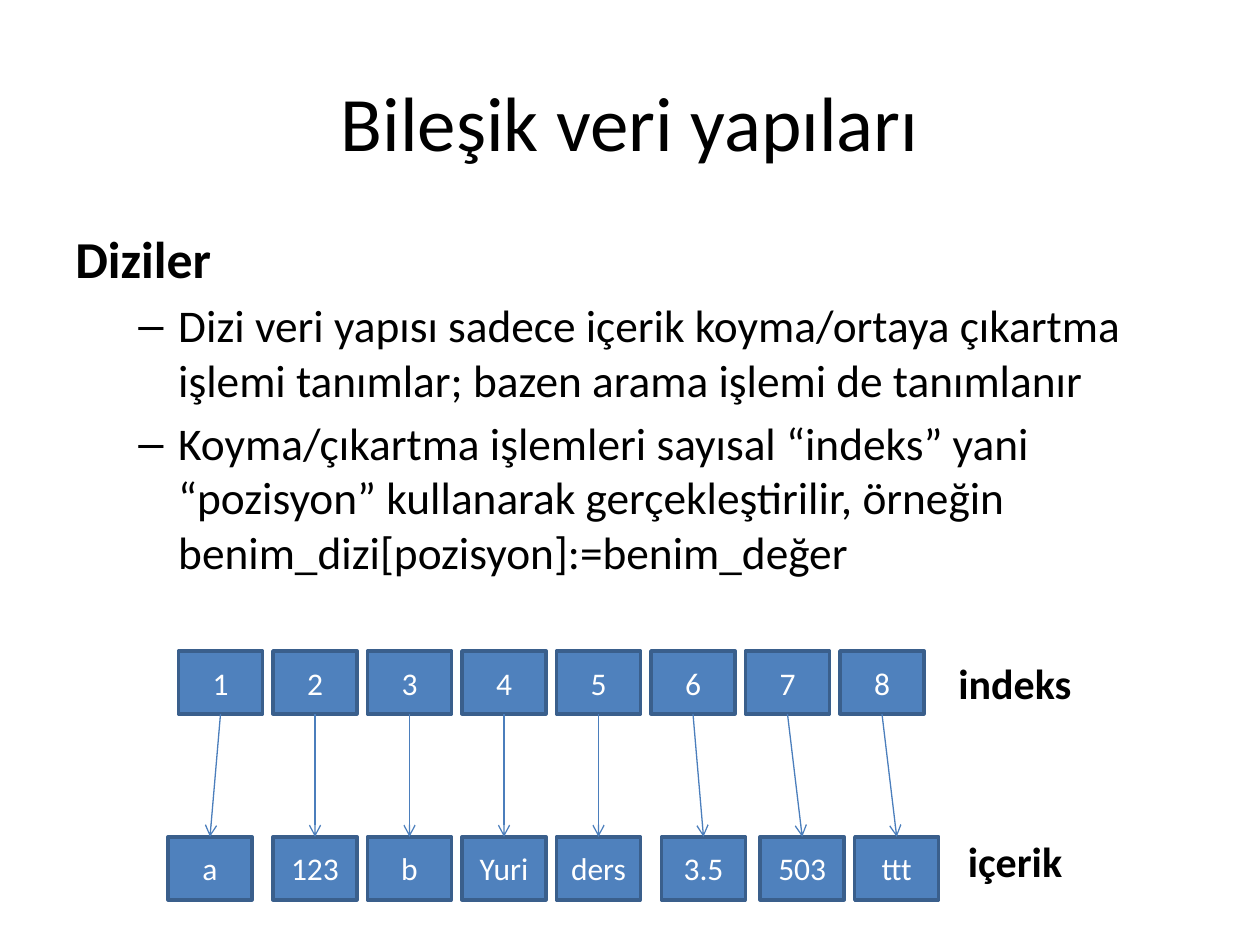
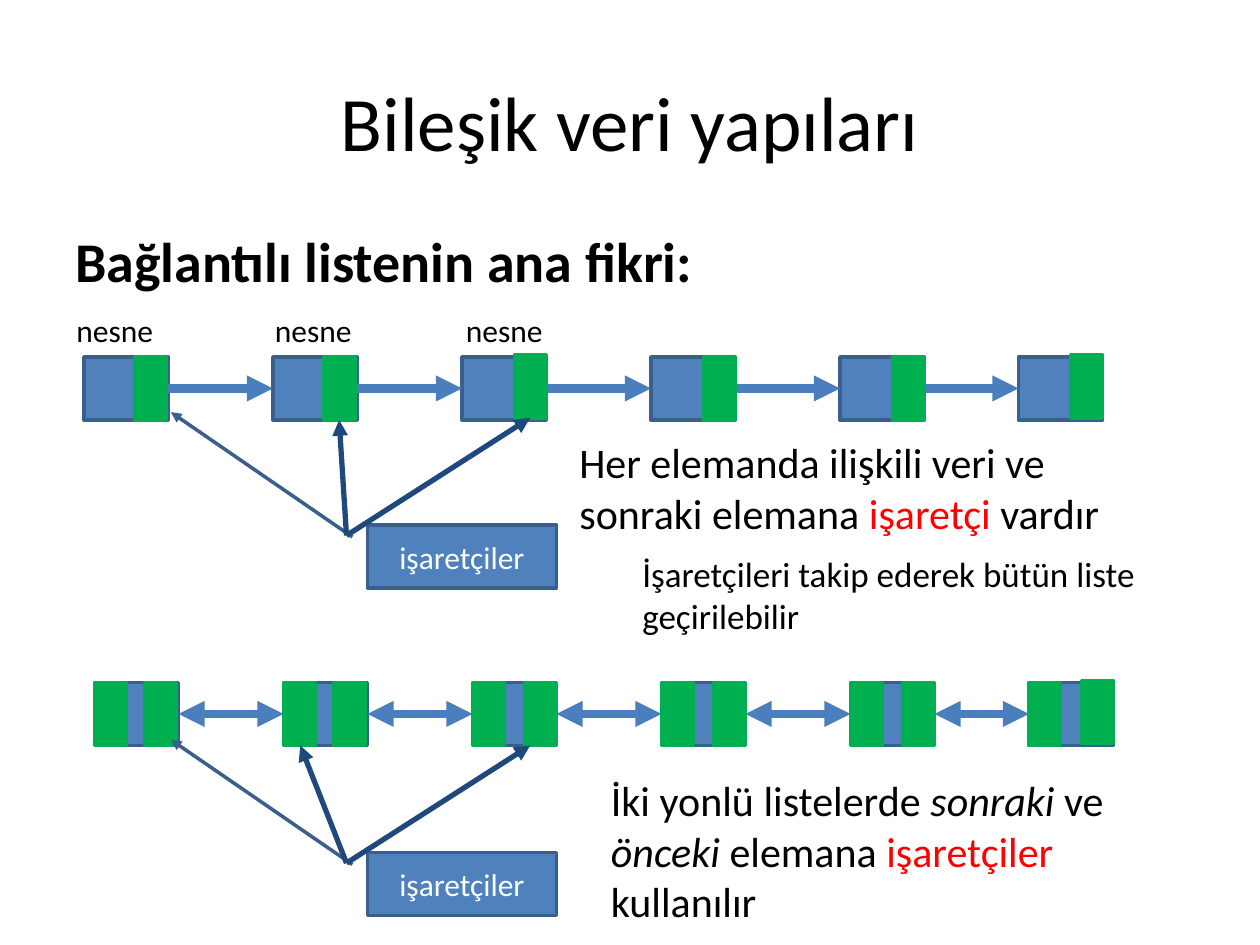
from pptx import Presentation
from pptx.dml.color import RGBColor
from pptx.enum.shapes import MSO_CONNECTOR as CONN, MSO_SHAPE as SHAPE
from pptx.enum.text import MSO_ANCHOR as ANCHOR, PP_ALIGN as ALIGN
from pptx.oxml.ns import qn
from pptx.util import Pt
from lxml.etree import SubElement

# Shared style: 120 px to the inch
PX = 7620
FONT = "Calibri"
BLACK, WHITE, RED = "000000", "FFFFFF", "FF0000"
BLUE, EDGE, ARROW = "4F81BD", "3A5F8C", "4B7EBC"
NAVY, GREEN = "1F497D", "00B050"
NODE_W, NODE_H, POINTER_W = 80, 60, 30
TITLE = "Bileşik veri yapıları"


def px(*lengths):
    return [round(n * PX) for n in lengths]


def rgb(color):
    return RGBColor.from_string(color)


def add_run(p, text, size, color=BLACK, bold=False, italic=False):
    r = p.add_run()
    r.text = text
    f = r.font
    f.name, f.size, f.bold, f.italic = FONT, Pt(size), bold, italic
    f.color.rgb = rgb(color)


def add_text(s, box, runs, size, wrap=True, bold=False):
    """Runs are (text, style) pairs; returns the text frame."""
    tf = s.shapes.add_textbox(*px(*box)).text_frame
    tf.word_wrap = wrap
    for text, style in runs:
        add_run(tf.paragraphs[0], text, size, bold=bold, **style)
    return tf


def add_bullet(tf, text, size):
    p = tf.add_paragraph()
    pPr = p._p.get_or_add_pPr()
    left, hang = px(98, 38)
    pPr.set("marL", str(left))
    pPr.set("indent", str(-hang))
    p.space_before = Pt(5)
    SubElement(pPr, qn("a:buFont")).set("typeface", "Arial")
    SubElement(pPr, qn("a:buChar")).set("char", "–")
    add_run(p, text, size)


def add_box(s, box, text="", fill=BLUE, line=EDGE, kind=SHAPE.RECTANGLE):
    sp = s.shapes.add_shape(kind, *px(*box))
    sp.shadow.inherit = False
    sp.fill.solid()
    sp.fill.fore_color.rgb = rgb(fill)
    sp.line.color.rgb = rgb(line)
    sp.line.width = Pt(2)
    if text:
        tf = sp.text_frame
        tf.vertical_anchor = ANCHOR.MIDDLE
        p = tf.paragraphs[0]
        p.alignment = ALIGN.CENTER
        add_run(p, text, 18, WHITE)
    return sp


def add_heads(shape, tail, head=None):
    ln = shape.line._get_or_add_ln()
    for tag, kind in (("a:headEnd", head), ("a:tailEnd", tail)):
        if kind:
            SubElement(ln, qn(tag)).set("type", kind)


def add_arrow(s, start, end, color, width, tail="triangle", head=None):
    cx = s.shapes.add_connector(CONN.STRAIGHT, *px(*start, *end))
    cx.line.color.rgb = rgb(color)
    cx.line.width = Pt(width)
    add_heads(cx, tail, head)
    SubElement(cx._element.spPr, qn("a:effectLst"))
    return cx


def join(s, a, a_side, b, b_side, width, **heads):
    cx = add_arrow(s, (0, 0), (0, 0), ARROW, width, **heads)
    cx.begin_connect(a, a_side)
    cx.end_connect(b, b_side)


def add_slide(prs):
    s = prs.slides.add_slide(prs.slide_layouts[6])
    tf = add_text(s, (60, 40, 1080, 150), [(TITLE, {})], 44)
    tf.vertical_anchor = ANCHOR.MIDDLE
    tf.paragraphs[0].alignment = ALIGN.CENTER
    return s


def array_diagram(s, left, top):
    """Index cells, each pointing to its content cell."""
    contents = [("a", -10), ("123", 90), ("b", 180), ("Yuri", 270),
                ("ders", 360), ("3.5", 460), ("503", 554), ("ttt", 644)]
    for i, (value, x) in enumerate(contents):
        index = add_box(s, (left + 90 * i, top, NODE_W, NODE_H), str(i + 1))
        cell = add_box(s, (left + x, top + 177, NODE_W, NODE_H), value)
        join(s, index, 2, cell, 0, 0.75, tail="arrow")
    for text, x, y, w in (("indeks", 731, 0, 133), ("içerik", 740, 170, 115)):
        add_text(s, (left + x, top + y, w, 60), [(text, {})], 24,
                 wrap=False, bold=True)


def linked_list(s, left, top, raised, double=False):
    """Six nodes with green pointer fields; raised ones sit 2 px higher."""
    xs = [left + 180 * i for i in range(5)] + [left + 890]
    nodes = [add_box(s, (x, top, NODE_W, NODE_H)) for x in xs]
    for a, b in zip(nodes, nodes[1:]):
        join(s, a, 3, b, 1, 5, tail="triangle",
             head="triangle" if double else None)
    for i, x in enumerate(xs):
        fields = [(x + (48 if i < 2 else 50), top - 2 * (i in raised))]
        if double:
            fields.append((x, top))
        for field in fields:
            add_box(s, (*field, POINTER_W, NODE_H), fill=GREEN, line=GREEN)


def pointer_callout(s, left, top, targets):
    """Callout whose three arrows fan out from one point beside it."""
    sp = add_box(s, (left, top, 180, 60), "işaretçiler",
                 kind=SHAPE.LINE_CALLOUT_1)
    for i, value in enumerate((0.19, -0.08, -1.79, -1.04)):
        sp.adjustments[i] = value
    add_heads(sp, "triangle")
    for x, y in targets:
        add_arrow(s, (left - 20, top + 10), (left + x, top + y), NAVY, 3)


def array_slide(prs):
    s = add_slide(prs)
    tf = add_text(s, (60, 210, 1090, 390), [("Diziler", {})], 29.6, bold=True)
    add_bullet(tf, "Dizi veri yapısı sadece içerik koyma/ortaya çıkartma "
                   "işlemi tanımlar; bazen arama işlemi de tanımlanır", 25.9)
    add_bullet(tf, "Koyma/çıkartma işlemleri sayısal “indeks” yani “pozisyon” "
                   "kullanarak gerçekleştirilir, örneğin "
                   "benim_dizi[pozisyon]:=benim_değer", 25.9)
    array_diagram(s, 170, 620)


def list_slide(prs):
    s = add_slide(prs)
    add_text(s, (60, 210, 1080, 80),
             [("Bağlantılı listenin ana fikri:", {})], 32, bold=True)

    # Singly linked list
    linked_list(s, 80, 340, raised=(2, 5))
    for x in (61, 250, 432):
        add_text(s, (x, 290, 98, 48), [("nesne", {})], 18, wrap=False)
    pointer_callout(s, 350, 500, [(-27, -100), (155, -102)])
    add_text(s, (540, 410, 550, 109),
             [("Her elemanda ilişkili veri ve sonraki elemana ", {}),
              ("işaretçi", {"color": RED}), (" vardır", {})], 24)
    add_text(s, (600, 520, 530, 92),
             [("İşaretçileri takip ederek bütün liste geçirilebilir", {})], 20)

    # Doubly linked list
    linked_list(s, 90, 650, raised=(5,), double=True)
    pointer_callout(s, 350, 812, [(-64, -102), (155, -102)])
    add_text(s, (570, 732, 550, 157),
             [("İki yonlü listelerde ", {}), ("sonraki ", {"italic": True}),
              ("ve ", {}), ("önceki ", {"italic": True}), ("elemana ", {}),
              ("işaretçiler", {"color": RED}), (" kullanılır", {})], 24)


def main():
    prs = Presentation()
    prs.slide_width, prs.slide_height = px(1200, 900)
    array_slide(prs)
    list_slide(prs)
    prs.save("out.pptx")


if __name__ == "__main__":
    main()
